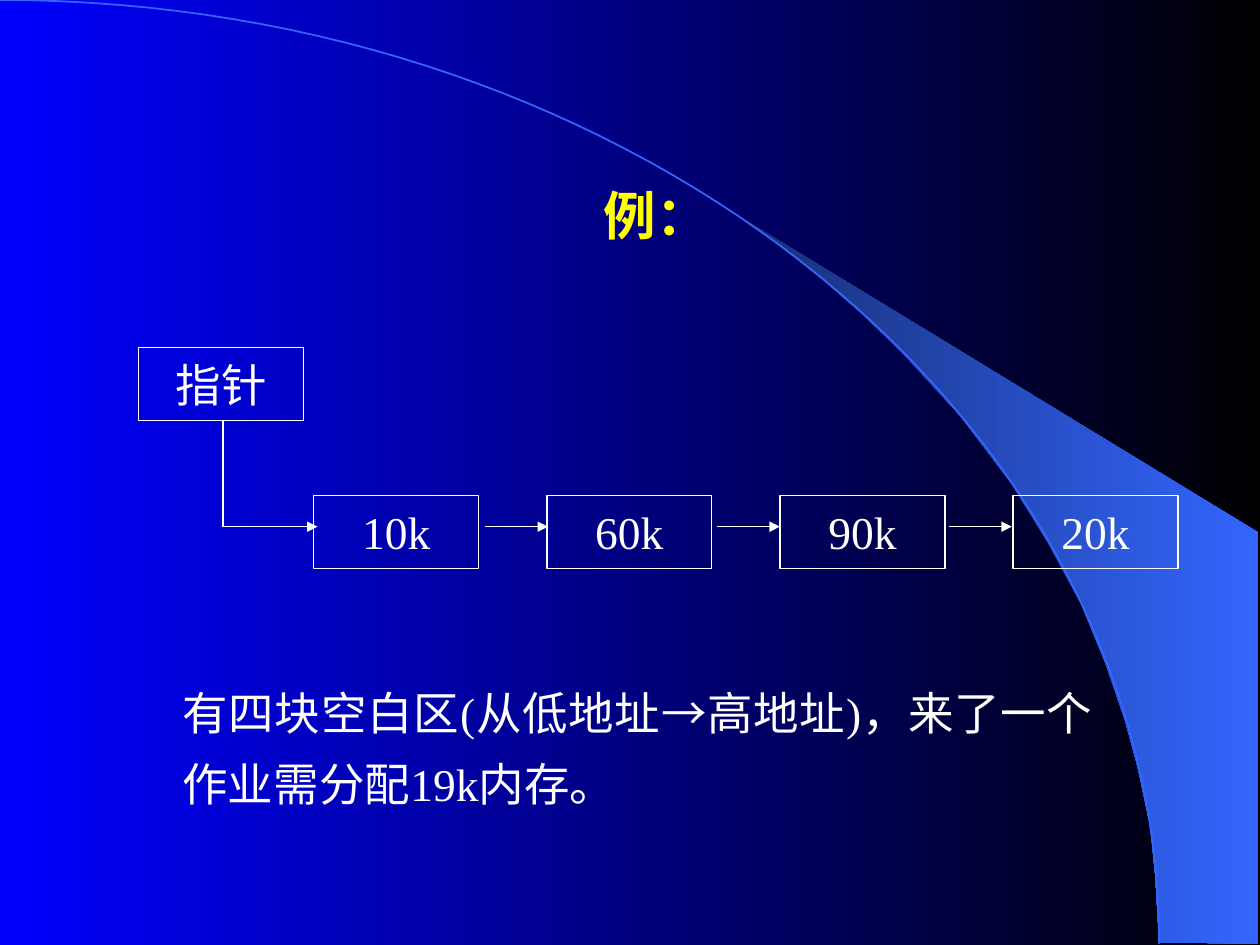
"""Build the slide showing a pointer and a linked list of free memory blocks."""
from typing import NamedTuple

from lxml.etree import SubElement
from pptx import Presentation
from pptx.dml.color import RGBColor
from pptx.dml.fill import FillFormat
from pptx.dml.line import LineFormat
from pptx.enum.shapes import MSO_CONNECTOR, MSO_SHAPE
from pptx.enum.text import MSO_ANCHOR, PP_ALIGN
from pptx.oxml.ns import qn
from pptx.shapes.autoshape import Shape
from pptx.slide import Slide
from pptx.util import Inches, Pt

COLORS = {
    "night": "000000",
    "blue": "0000FF",
    "navy": "182F76",
    "azure": "3366FF",
    "title": "FFFF00",
    "text": "FFFFFF",
}
LATIN = "Times New Roman"
BLOCK_STEP = 1.85
ARROW_STEP = 1.84
ARROW_Y = 4.18
CURVE_STEPS = 64


class Point(NamedTuple):
    x: float
    y: float


class Block(NamedTuple):
    label: str
    left: float
    top: float


BLOCKS = [Block("指针", 1.1, 2.76)] + [
    Block(size, 2.49 + BLOCK_STEP * i, 3.93)
    for i, size in enumerate(("10k", "60k", "90k", "20k"))
]
ARC_CONTROLS = (Point(0, 0), Point(5.08, 0), Point(9.2, 3.35), Point(9.2, 7.49))
BEAM = [Point(*xy) for xy in (
    (9.2, 7.48), (9.99, 7.49), (9.99, 4.23), (5.89, 1.73), (6.24, 1.99), (6.53, 2.22),
    (6.85, 2.5), (7.16, 2.8), (7.62, 3.3), (8.03, 3.84), (8.32, 4.31), (8.58, 4.79),
    (8.78, 5.28), (8.93, 5.72), (9.03, 6.09), (9.13, 6.56), (9.17, 6.96),
)]
POINTER_PATH = [Point(1.77, 3.34), Point(1.77, ARROW_Y), Point(2.52, ARROW_Y)]


def color(name: str) -> RGBColor:
    return RGBColor.from_string(COLORS[name])


def fill_gradient(fill: FillFormat, start: str, end: str) -> None:
    fill.gradient()
    fill.gradient_angle = 0
    for stop, name, position in zip(fill.gradient_stops, (start, end), (0, 1)):
        stop.color.rgb = color(name)
        stop.position = position


def style_line(line: LineFormat, name: str, width: float) -> None:
    line.color.rgb = color(name)
    line.width = Pt(width)


def add_arrowhead(line: LineFormat) -> None:
    SubElement(line.fill._xPr, qn("a:tailEnd"), type="triangle")


def curve_points(controls: tuple[Point, ...]) -> list[Point]:
    points = []
    for step in range(CURVE_STEPS + 1):
        t = step / CURVE_STEPS
        weights = ((1 - t) ** 3, 3 * t * (1 - t) ** 2, 3 * t * t * (1 - t), t ** 3)
        points.append(Point(sum(w * p.x for w, p in zip(weights, controls)),
                            sum(w * p.y for w, p in zip(weights, controls))))
    return points


def add_outline(slide: Slide, points: list[Point], close: bool = False) -> Shape:
    first, *rest = [(Inches(p.x), Inches(p.y)) for p in points]
    builder = slide.shapes.build_freeform(*first)
    builder.add_line_segments(rest, close=close)
    outline = builder.convert_to_shape()
    outline.shadow.inherit = False
    outline.fill.background()
    return outline


def add_run(paragraph, text: str, font: str = LATIN, size: float = 26,
            name: str = "text", bold: bool = False) -> None:
    run = paragraph.add_run()
    run.text = text
    run.font.name = font
    run.font.size = Pt(size)
    run.font.bold = bold
    run.font.color.rgb = color(name)


def add_block(slide: Slide, block: Block) -> None:
    box = slide.shapes.add_shape(MSO_SHAPE.RECTANGLE, Inches(block.left),
                                 Inches(block.top), Inches(1.31), Inches(0.58))
    box.shadow.inherit = False
    box.fill.background()
    style_line(box.line, "text", 0.75)
    frame = box.text_frame
    frame.word_wrap = False
    frame.vertical_anchor = MSO_ANCHOR.MIDDLE
    frame.margin_left = frame.margin_right = Inches(0.08)
    frame.margin_top = frame.margin_bottom = Inches(0.04)
    label = frame.paragraphs[0]
    label.alignment = PP_ALIGN.CENTER
    add_run(label, block.label)


def add_arrow(slide: Slide, start: float) -> None:
    arrow = slide.shapes.add_connector(MSO_CONNECTOR.STRAIGHT, Inches(start), Inches(ARROW_Y),
                                       Inches(start + 0.5), Inches(ARROW_Y))
    style_line(arrow.line, "text", 0.75)
    add_arrowhead(arrow.line)
    SubElement(arrow._element.spPr, qn("a:effectLst"))


def add_title(slide: Slide) -> None:
    title = slide.shapes.title
    title.left, title.top = Inches(0.42), Inches(1.33)
    title.width, title.height = Inches(9.58), Inches(0.75)
    title.text_frame.vertical_anchor = MSO_ANCHOR.MIDDLE
    heading = title.text_frame.paragraphs[0]
    heading.alignment = PP_ALIGN.CENTER
    add_run(heading, "例：", size=30, name="title", bold=True)


def add_explanation(slide: Slide) -> None:
    explanation = slide.shapes.add_textbox(Inches(1.35), Inches(5.26), Inches(7.42), Inches(1.22))
    explanation.text_frame.word_wrap = True
    sentence = explanation.text_frame.paragraphs[0]
    sentence.alignment = PP_ALIGN.JUSTIFY
    sentence.line_spacing = 1.3
    add_run(sentence, "有四块空白区(从低地址")
    add_run(sentence, "→", font="Arial")
    add_run(sentence, "高地址)，来了一个作业需分配19k内存。")


def main() -> None:
    presentation = Presentation()
    presentation.slide_width, presentation.slide_height = Inches(10), Inches(7.5)
    slide = presentation.slides.add_slide(presentation.slide_layouts[5])
    fill_gradient(slide.background.fill, "blue", "night")

    beam = add_outline(slide, BEAM, close=True)
    fill_gradient(beam.fill, "navy", "azure")
    beam.line.fill.background()
    arc = add_outline(slide, curve_points(ARC_CONTROLS))
    style_line(arc.line, "azure", 1)

    add_title(slide)
    for block in BLOCKS:
        add_block(slide, block)
    pointer = add_outline(slide, POINTER_PATH)
    style_line(pointer.line, "text", 0.75)
    add_arrowhead(pointer.line)
    for i in range(3):
        add_arrow(slide, 3.85 + ARROW_STEP * i)
    add_explanation(slide)
    presentation.save("out.pptx")


if __name__ == "__main__":
    main()
